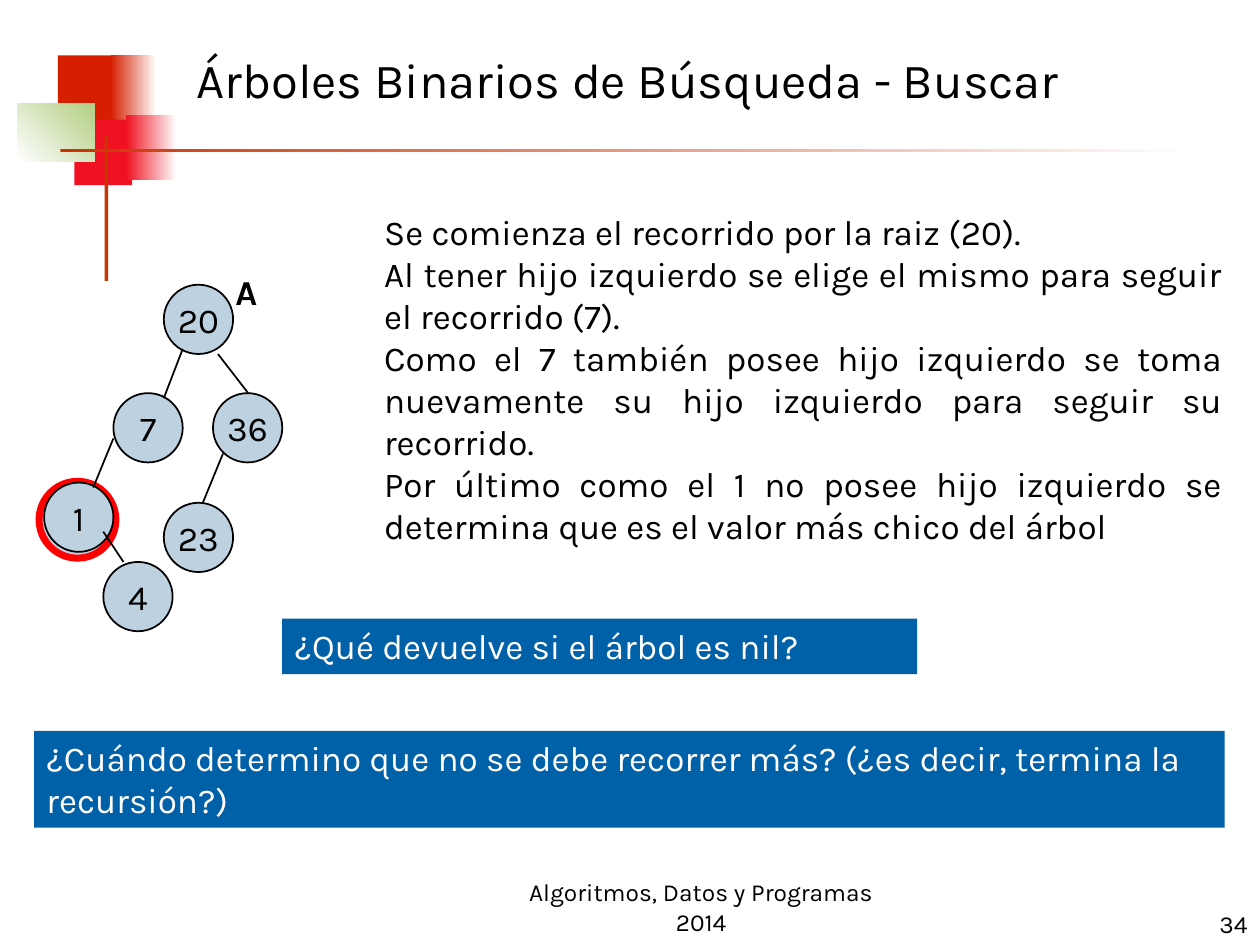
from lxml import etree
from pptx import Presentation
from pptx.dml.color import RGBColor
from pptx.enum import shapes, text
from pptx.oxml import ns
from pptx.util import Inches, Pt

FONT = "Karla"
COLORS = {
    "text": "000000", "white": "FFFFFF", "node": "BED1E0", "mark": "FF0000",
    "red": "D61F00", "crimson": "EF1121", "green": "B3CE82",
    "rule": "CC3300", "banner": "0060A8",
}
ALIGN = text.PP_ALIGN
ANCHOR = text.MSO_ANCHOR
SHAPE = shapes.MSO_SHAPE


def rgb(name):
    return RGBColor.from_string(COLORS[name])


def write(sp, lines, size=20, color="text", align=ALIGN.LEFT,
          anchor=ANCHOR.TOP, bold=False, wrap=True):
    tf = sp.text_frame
    tf.word_wrap = wrap
    tf.auto_size = text.MSO_AUTO_SIZE.NONE
    tf.vertical_anchor = anchor
    tf.margin_left = tf.margin_right = Inches(0.1)
    tf.margin_top = tf.margin_bottom = Inches(0.05)
    for i, line in enumerate(lines):
        p = tf.add_paragraph() if i else tf.paragraphs[0]
        p.alignment = align
        p.space_before = Pt(0)
        r = p.add_run()
        r.text = line
        r.font.name = FONT
        r.font.size = Pt(size)
        r.font.bold = bold
        r.font.color.rgb = rgb(color)


def add_text(s, box, lines, **style):
    write(s.shapes.add_textbox(*map(Inches, box)), lines, **style)


def add_shape(s, kind, box, fill, fade_to=None, angle=0, line=None, width=1):
    sp = s.shapes.add_shape(kind, *map(Inches, box))
    sp.shadow.inherit = False
    if fade_to:
        sp.fill.gradient()
        sp.fill.gradient_angle = angle
        for stop, name in zip(sp.fill.gradient_stops, (fill, fade_to)):
            stop.color.rgb = rgb(name)
    else:
        sp.fill.solid()
        sp.fill.fore_color.rgb = rgb(fill)
    if line:
        sp.line.color.rgb = rgb(line)
        sp.line.width = Pt(width)
    else:
        sp.line.fill.background()
    return sp


def add_decoration(s, x, y):
    """Overlapping squares and the two crossing rules."""
    parts = [  # dx, dy, width, height, fill, fade, angle
        (0.32, 0, 0.48, 0.52, "red", None, 0),
        (0.74, 0, 0.36, 0.52, "red", "white", 0),
        (0.45, 0.51, 0.46, 0.52, "crimson", None, 0),
        (0.86, 0.47, 0.4, 0.52, "crimson", "white", 0),
        (0, 0.38, 0.61, 0.46, "white", "green", 45),
        (0.69, 0.64, 0.03, 1.15, "rule", None, 0),
        (0.34, 0.74, 9, 0.03, "rule", "white", 0),
    ]
    for dx, dy, w, h, fill, fade, angle in parts:
        add_shape(s, SHAPE.RECTANGLE, (x + dx, y + dy, w, h), fill, fade, angle)


def add_title(s, box, title):
    sp = s.shapes.title
    sp.left, sp.top, sp.width, sp.height = map(Inches, box)
    write(sp, [title], size=28, anchor=ANCHOR.MIDDLE)


def add_tree(s, x, y):
    """Binary search tree with the smallest node ringed."""
    size = 0.55
    nodes = [("20", 0.99, 0.16), ("7", 0.59, 1.02), ("36", 1.38, 1.02),
             ("1", 0.04, 1.73), ("4", 0.51, 2.36), ("23", 0.99, 1.89)]
    edges = [(1.14, 0.67, 0.99, 1.06), (1.42, 0.71, 1.66, 1.02),
             (0.59, 1.38, 0.43, 1.77), (0.51, 2.12, 0.67, 2.36),
             (1.46, 1.5, 1.3, 1.89)]
    add_shape(s, SHAPE.OVAL, (x, y + 1.72, 0.61, 0.61), "node",
              line="mark", width=4)
    for label, dx, dy in nodes:
        sp = add_shape(s, SHAPE.OVAL, (x + dx, y + dy, size, size), "node",
                       line="text")
        write(sp, [label], align=ALIGN.CENTER, anchor=ANCHOR.MIDDLE, wrap=False)
    for x1, y1, x2, y2 in edges:
        ends = map(Inches, (x + x1, y + y1, x + x2, y + y2))
        cn = s.shapes.add_connector(shapes.MSO_CONNECTOR.STRAIGHT, *ends)
        cn.line.color.rgb = rgb("text")
        cn.line.width = Pt(1)
        etree.SubElement(cn._element.spPr, ns.qn("a:effectLst"))
    add_text(s, (x + 1.46, y, 0.39, 0.44), ["A"], bold=True)


def add_banner(s, box, line):
    write(add_shape(s, SHAPE.RECTANGLE, box, "banner"), [line], color="white")


def add_footer(s, y):
    style = dict(size=14, anchor=ANCHOR.BOTTOM)
    add_text(s, (3.98, y, 3.17, 0.5), ["Algoritmos, Datos y Programas 2014"],
             align=ALIGN.CENTER, **style)
    add_text(s, (7.92, y + 0.02, 2.08, 0.5), ["34"], align=ALIGN.RIGHT, **style)


def main():
    prs = Presentation()
    prs.slide_width, prs.slide_height = Inches(10), Inches(7.5)
    s = prs.slides.add_slide(prs.slide_layouts[5])

    add_decoration(s, 0.14, 0.44)
    add_title(s, (1.46, 0.13, 8.11, 1), "Árboles Binarios de Búsqueda - Buscar")
    add_tree(s, 0.31, 2.1)

    # Explanation of the search
    add_text(s, (2.95, 1.62, 6.85, 2.77), [
        "Se comienza el recorrido por la raiz (20).",
        "Al tener hijo izquierdo se elige el mismo para seguir el recorrido (7).",
        "Como el 7 también posee hijo izquierdo se toma nuevamente su hijo "
        "izquierdo para seguir su recorrido.",
        "Por último como el 1 no posee hijo izquierdo se determina que es el "
        "valor más chico del árbol",
    ], align=ALIGN.JUSTIFY)

    # Questions
    add_banner(s, (2.24, 4.91, 5.04, 0.44), "¿Qué devuelve si el árbol es nil?")
    add_banner(s, (0.27, 5.8, 9.45, 0.77),
               "¿Cuándo determino que no se debe recorrer más? "
               "(¿es decir, termina la recursión?)")
    add_footer(s, 6.98)
    prs.save("out.pptx")


if __name__ == "__main__":
    main()
